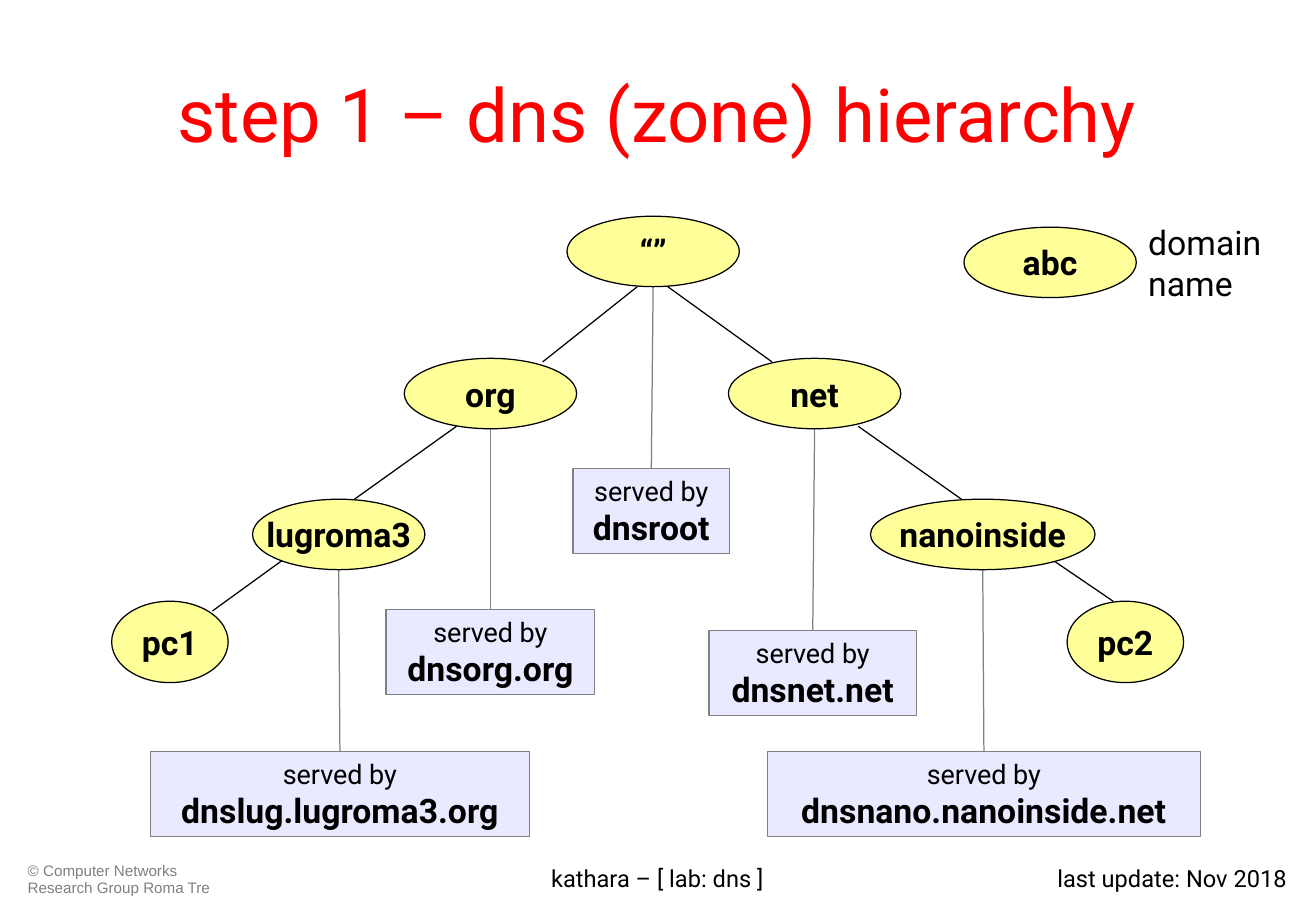
import pptx
import pptx.dml.color
import pptx.enum.shapes
import pptx.enum.text
import pptx.oxml.ns
import pptx.util
from lxml import etree
from pptx.util import Inches

RGBColor = pptx.dml.color.RGBColor
Align = pptx.enum.text.PP_ALIGN
Anchor = pptx.enum.text.MSO_ANCHOR
Shape = pptx.enum.shapes.MSO_SHAPE

BLACK = RGBColor(0x00, 0x00, 0x00)
GREY = RGBColor(0x80, 0x80, 0x80)
RED = RGBColor(0xFF, 0x00, 0x00)
YELLOW = RGBColor(0xFF, 0xFF, 0x99)
LAVENDER = RGBColor(0xE9, 0xE9, 0xFF)

LINE_WIDTH = 0.75
OVAL_HEIGHT = 0.58
SERVER_HEIGHT = 0.7

# name: left, top, width, height
DOMAINS = {
    "“”": (4.67, 1.78, 1.42, OVAL_HEIGHT),
    "org": (3.33, 2.95, 1.42, OVAL_HEIGHT),
    "net": (6, 2.95, 1.42, OVAL_HEIGHT),
    "lugroma3": (2.08, 4.11, 1.42, OVAL_HEIGHT),
    "nanoinside": (7.17, 4.11, 1.85, OVAL_HEIGHT),
    "pc1": (0.92, 4.95, 0.96, 0.67),
    "pc2": (8.79, 4.95, 0.96, 0.67),
    "abc": (7.94, 1.87, 1.42, OVAL_HEIGHT),
}

# server, domain it serves, left, top, width
SERVERS = [
    ("dnsroot", "“”", 4.72, 3.86, 1.29),
    ("dnsorg.org", "org", 3.18, 5.02, 1.72),
    ("dnsnet.net", "net", 5.84, 5.19, 1.71),
    ("dnslug.lugroma3.org", "lugroma3", 1.24, 6.19, 3.12),
    ("dnsnano.nanoinside.net", "nanoinside", 6.32, 6.19, 3.57),
]

# child end and parent end of each branch
BRANCHES = [
    ((4.47, 2.98), (5.25, 2.36)),
    ((6.36, 2.98), (5.5, 2.36)),
    ((2.92, 4.11), (3.76, 3.51)),
    ((7.92, 4.11), (7.07, 3.51)),
    ((1.75, 5.03), (2.33, 4.61)),
    ((9.17, 4.95), (8.67, 4.61)),
]


def write(para, text, size=20, bold=False, color=BLACK, font="Roboto",
          align=Align.CENTER, spacing=None):
    para.alignment = align
    if spacing:
        para.line_spacing = spacing
    span = para.add_run()
    span.text = text
    span.font.name = font
    span.font.size = pptx.util.Pt(size)
    span.font.bold = bold
    span.font.color.rgb = color


def add_label(page, text, left, top, width, height, **style):
    box = page.shapes.add_textbox(*map(Inches, (left, top, width, height)))
    box.text_frame.word_wrap = True
    write(box.text_frame.paragraphs[0], text, **style)


def add_node(page, kind, frame, fill, outline, anchor):
    """Add a filled, outlined shape and return its text frame."""
    node = page.shapes.add_shape(kind, *map(Inches, frame))
    node.shadow.inherit = False
    node.fill.solid()
    node.fill.fore_color.rgb = fill
    node.line.color.rgb = outline
    node.line.width = pptx.util.Pt(LINE_WIDTH)
    node.text_frame.word_wrap = False
    node.text_frame.vertical_anchor = anchor
    return node.text_frame


def add_domain(page, name, frame):
    words = add_node(page, Shape.OVAL, frame, YELLOW, BLACK, Anchor.MIDDLE)
    write(words.paragraphs[0], name, bold=True)


def add_server(page, name, frame):
    words = add_node(page, Shape.RECTANGLE, frame, LAVENDER, GREY, Anchor.TOP)
    write(words.paragraphs[0], "served by", size=16)
    write(words.add_paragraph(), name, bold=True)


def add_line(page, start, end, color):
    line = page.shapes.add_connector(
        pptx.enum.shapes.MSO_CONNECTOR.STRAIGHT, *map(Inches, start + end))
    line.line.color.rgb = color
    line.line.width = pptx.util.Pt(LINE_WIDTH)
    etree.SubElement(line.element.spPr, pptx.oxml.ns.qn("a:effectLst"))


def set_title(page, text):
    title = page.shapes.title
    title.left, title.top = Inches(0.54), Inches(0.3)
    title.width, title.height = Inches(9.75), Inches(1.25)
    title.text_frame.vertical_anchor = Anchor.MIDDLE
    write(title.text_frame.paragraphs[0], text, size=44, color=RED)


def main():
    deck = pptx.Presentation()
    deck.slide_width, deck.slide_height = Inches(10.84), Inches(7.5)
    page = deck.slides.add_slide(deck.slide_layouts[5])

    set_title(page, "step 1 – dns (zone) hierarchy")
    for start, end in BRANCHES:
        add_line(page, start, end, BLACK)
    for name, domain, left, top, width in SERVERS:
        x, y, domain_width, domain_height = DOMAINS[domain]
        add_line(page, (left + width / 2, top),
                 (x + domain_width / 2, y + domain_height), GREY)
        add_server(page, name, (left, top, width, SERVER_HEIGHT))
    for name, frame in DOMAINS.items():
        add_domain(page, name, frame)
    add_label(page, "domain name", 9.36, 1.78, 1.26, 0.77, align=Align.LEFT)

    add_label(page, "© Computer Networks Research Group Roma Tre",
              0.13, 7.06, 1.88, 0.36, size=9, color=GREY, font="Arial",
              align=Align.LEFT, spacing=0.9)
    add_label(page, "kathara – [ lab: dns ]", 2.77, 7.06, 5.29, 0.36, size=14)
    add_label(page, "last update: Nov 2018", 8.23, 7.06, 2.47, 0.36, size=14,
              align=Align.RIGHT)
    deck.save("out.pptx")


if __name__ == "__main__":
    main()
